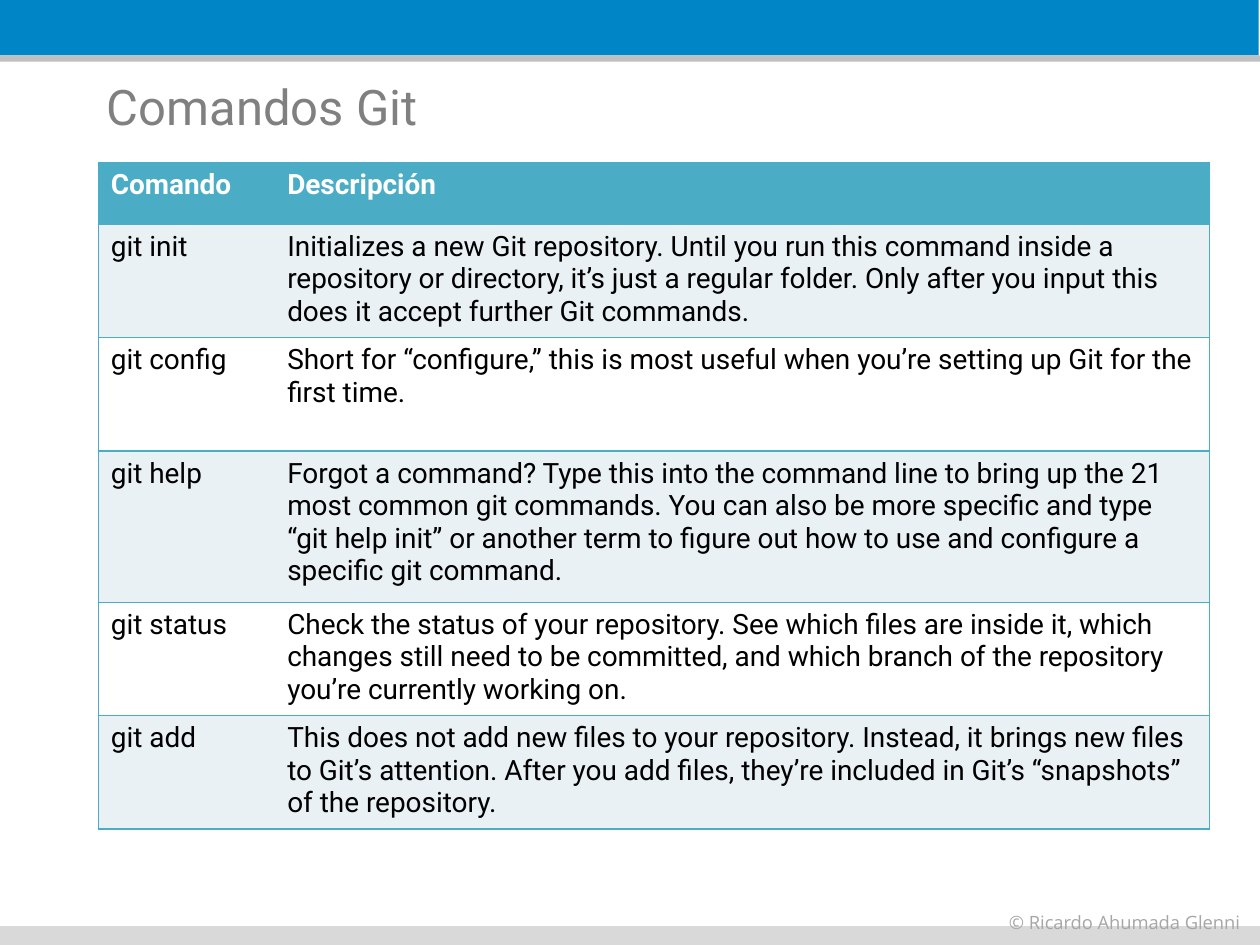
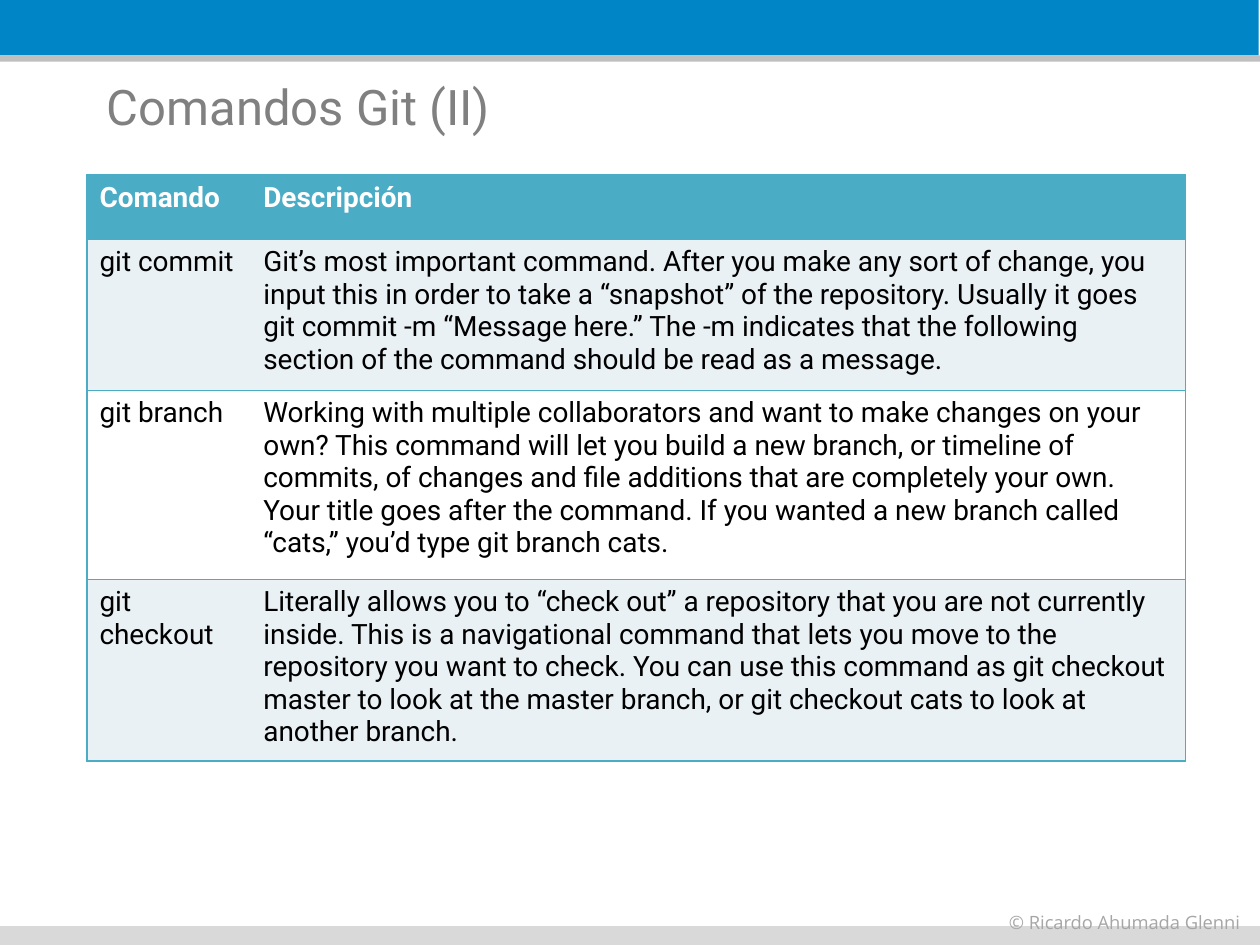
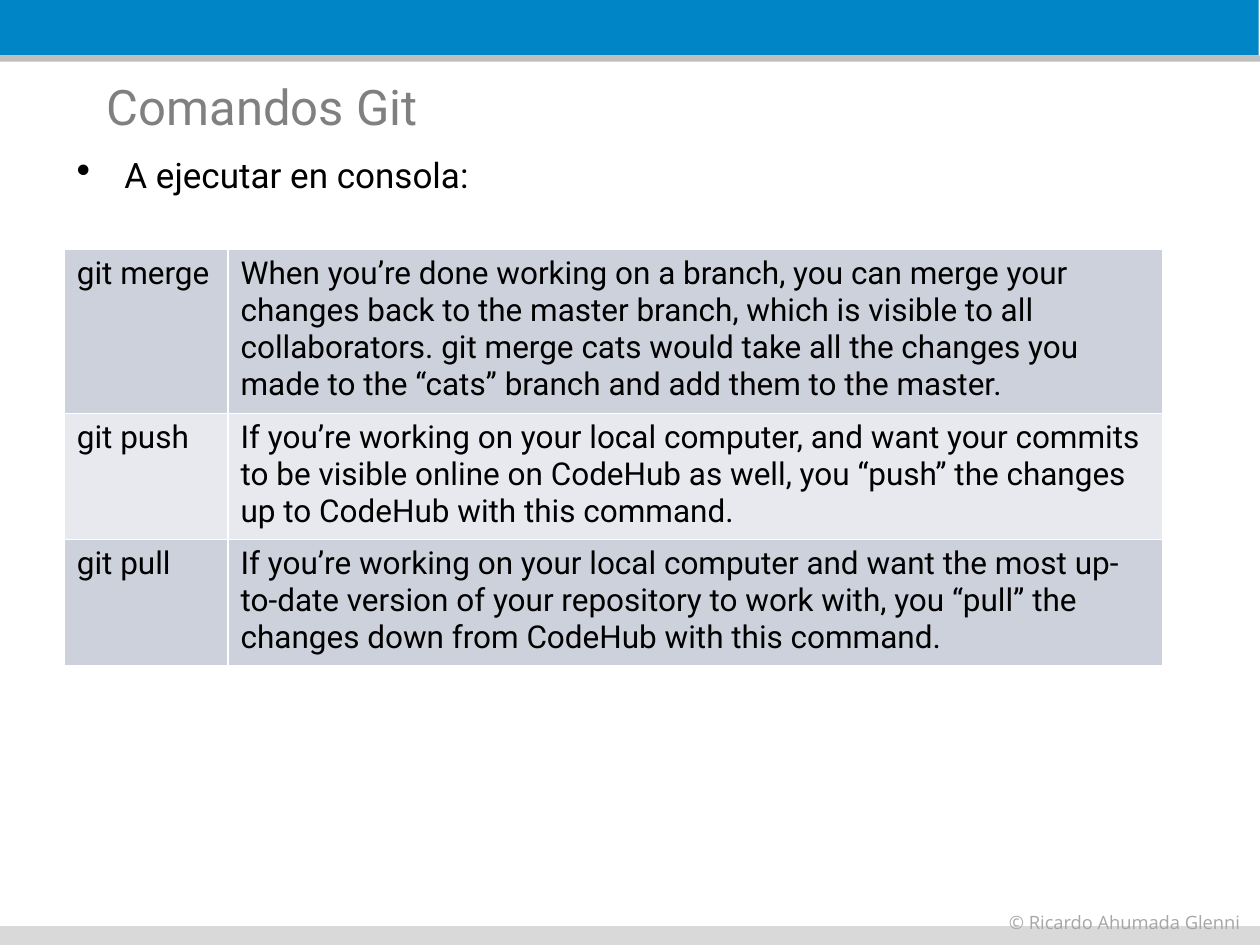
from lxml import etree
from pptx import Presentation
from pptx.dml.color import RGBColor
from pptx.enum.shapes import MSO_SHAPE
from pptx.oxml.ns import qn
from pptx.util import Inches, Pt

RECT = MSO_SHAPE.RECTANGLE
BLUE = RGBColor(0x00, 0x85, 0xC7)
SILVER = RGBColor(0xBF, 0xBF, 0xBF)
PALE = RGBColor(0xD9, 0xD9, 0xD9)
MUTED = RGBColor(0xA6, 0xA6, 0xA6)
GRAY = RGBColor(0x80, 0x80, 0x80)
TEAL = RGBColor(0x4B, 0xAC, 0xC6)
ICE = RGBColor(0xE9, 0xF1, 0xF5)
STEEL = RGBColor(0xCC, 0xD1, 0xDB)
MIST = RGBColor(0xE7, 0xE9, 0xEE)
WHITE = RGBColor(0xFF, 0xFF, 0xFF)
BLACK = RGBColor(0x00, 0x00, 0x00)

FONT = "Roboto"
NOTE_FONT = "Open Sans"
WIDE = 7.42  # width of the description column
HEAD = ("Comando", "Descripción")

BASICS = [
    HEAD,
    ("git init", "Initializes a new Git repository. Until you run this command "
     "inside a repository or directory, it’s just a regular folder. Only after "
     "you input this does it accept further Git commands."),
    ("git config", "Short for “configure,” this is most useful when you’re "
     "setting up Git for the first time."),
    ("git help", "Forgot a command? Type this into the command line to bring up "
     "the 21 most common git commands. You can also be more specific and type "
     "“git help init” or another term to figure out how to use and configure a "
     "specific git command."),
    ("git status", "Check the status of your repository. See which files are "
     "inside it, which changes still need to be committed, and which branch of "
     "the repository you’re currently working on."),
    ("git add", "This does not add new files to your repository. Instead, it "
     "brings new files to Git’s attention. After you add files, they’re included "
     "in Git’s “snapshots” of the repository."),
]
BRANCHES = [
    HEAD,
    ("git commit", "Git’s most important command. After you make any sort of "
     "change, you input this in order to take a “snapshot” of the repository. "
     "Usually it goes git commit -m “Message here.” The -m indicates that the "
     "following section of the command should be read as a message."),
    ("git branch", "Working with multiple collaborators and want to make changes "
     "on your own? This command will let you build a new branch, or timeline of "
     "commits, of changes and file additions that are completely your own. Your "
     "title goes after the command. If you wanted a new branch called “cats,” "
     "you’d type git branch cats."),
    ("git checkout", "Literally allows you to “check out” a repository that you "
     "are not currently inside. This is a navigational command that lets you "
     "move to the repository you want to check. You can use this command as git "
     "checkout master to look at the master branch, or git checkout cats to look "
     "at another branch."),
]
REMOTES = [
    ("git merge", "When you’re done working on a branch, you can merge your "
     "changes back to the master branch, which is visible to all collaborators. "
     "git merge cats would take all the changes you made to the “cats” branch "
     "and add them to the master."),
    ("git push", "If you’re working on your local computer, and want your commits "
     "to be visible online on CodeHub as well, you “push” the changes up to "
     "CodeHub with this command."),
    ("git pull", "If you’re working on your local computer and want the most "
     "up-to-date version of your repository to work with, you “pull” the changes "
     "down from CodeHub with this command."),
]


def style(para, size, color, font=FONT, bold=False):
    for run in para.runs:
        face = run.font
        face.name, face.size, face.bold = font, Pt(size), bold
        face.color.rgb = color


def border(cell, lines):
    """Draw a 1 pt line on each side of the cell, or none where the colour is None."""
    props = cell._tc.get_or_add_tcPr()
    for place, side in enumerate("LRTB"):
        line = etree.Element(qn(f"a:ln{side}"), w=str(Pt(1)))
        color = lines[side]
        if color is None:
            etree.SubElement(line, qn("a:noFill"))
        else:
            fill = etree.SubElement(line, qn("a:solidFill"))
            etree.SubElement(fill, qn("a:srgbClr"), val=str(color))
        props.insert(place, line)


class Deck:
    def __init__(self):
        self.file = Presentation()
        self.file.slide_width = Inches(10)
        self.file.slide_height = Inches(7.5)
        self.slide = None

    def page(self, title):
        self.slide = self.file.slides.add_slide(self.file.slide_layouts[6])
        self.band(-0.01, 0, 0.44, BLUE)
        self.band(0, 0.44, 0.05, SILVER)
        self.band(0, 7.35, 0.16, PALE)
        self.text("© Ricardo Ahumada Glenni", (7.91, 7.18, 2.07, 0.28),
                  10.5, MUTED, NOTE_FONT, wrap=False)
        self.text(title, (0.75, 0.52, 8.5, 0.44), 28, GRAY, inset=0.09)

    def band(self, left, top, height, color):
        shape = self.slide.shapes.add_shape(
            RECT, Inches(left), Inches(top), Inches(10), Inches(height))
        shape.shadow.inherit = False
        shape.fill.solid()
        shape.fill.fore_color.rgb = color
        shape.line.fill.background()

    def text(self, words, box, size, color, font=FONT, wrap=True, inset=0.05):
        frame = self.slide.shapes.add_textbox(*map(Inches, box)).text_frame
        frame.word_wrap = wrap
        frame.margin_top = Inches(inset)
        frame.text = words
        para = frame.paragraphs[0]
        style(para, size, color, font)
        return para

    def bullet(self, words, box):
        para = self.text(words, box, 20, BLACK, inset=0.07)
        props = para._p.get_or_add_pPr()
        props.set("marL", str(Inches(0.38)))
        props.set("indent", str(-Inches(0.38)))
        etree.SubElement(props, qn("a:buSzPct"), val="115000")
        etree.SubElement(props, qn("a:buChar"), char="•")

    def table(self, data, left, top, first, heights, size, fills, edge,
              head=False, split=None):
        """Fill rows with alternating colours; split colours the inner column line."""
        widths = (first, WIDE)
        grid = self.slide.shapes.add_table(
            len(data), len(widths), Inches(left), Inches(top),
            Inches(sum(widths)), Inches(sum(heights))).table
        grid.first_row = head
        grid.horz_banding = False
        for col, width in zip(grid.columns, widths):
            col.width = Inches(width)
        for r, (words, height) in enumerate(zip(data, heights)):
            grid.rows[r].height = Inches(height)
            top_row = head and r == 0
            fill = edge if top_row else fills[(r - head) % 2]
            for c, word in enumerate(words):
                cell = grid.cell(r, c)
                cell.text = word
                cell.fill.solid()
                cell.fill.fore_color.rgb = fill
                style(cell.text_frame.paragraphs[0], size,
                      WHITE if top_row else BLACK, bold=top_row)
                border(cell, {"L": split if c else edge,
                              "R": edge if c else split,
                              "T": edge, "B": edge})


def main():
    deck = Deck()

    deck.page("Comandos Git")
    deck.table(BASICS, 0.78, 1.29, 1.4, (0.49, 0.9, 0.9, 1.2, 0.9, 0.9),
               16, (ICE, WHITE), TEAL, head=True)

    deck.page("Comandos Git (II)")
    deck.table(BRANCHES, 0.69, 1.39, 1.3, (0.51, 1.2, 1.5, 1.44),
               16, (ICE, WHITE), TEAL, head=True)

    deck.page("Comandos Git")
    deck.table(REMOTES, 0.51, 1.98, 1.3, (1.3, 1, 1),
               18, (STEEL, MIST), WHITE, split=WHITE)
    deck.bullet("A ejecutar en consola:", (0.51, 1.15, 8.9, 0.44))

    deck.file.save("out.pptx")


if __name__ == "__main__":
    main()
